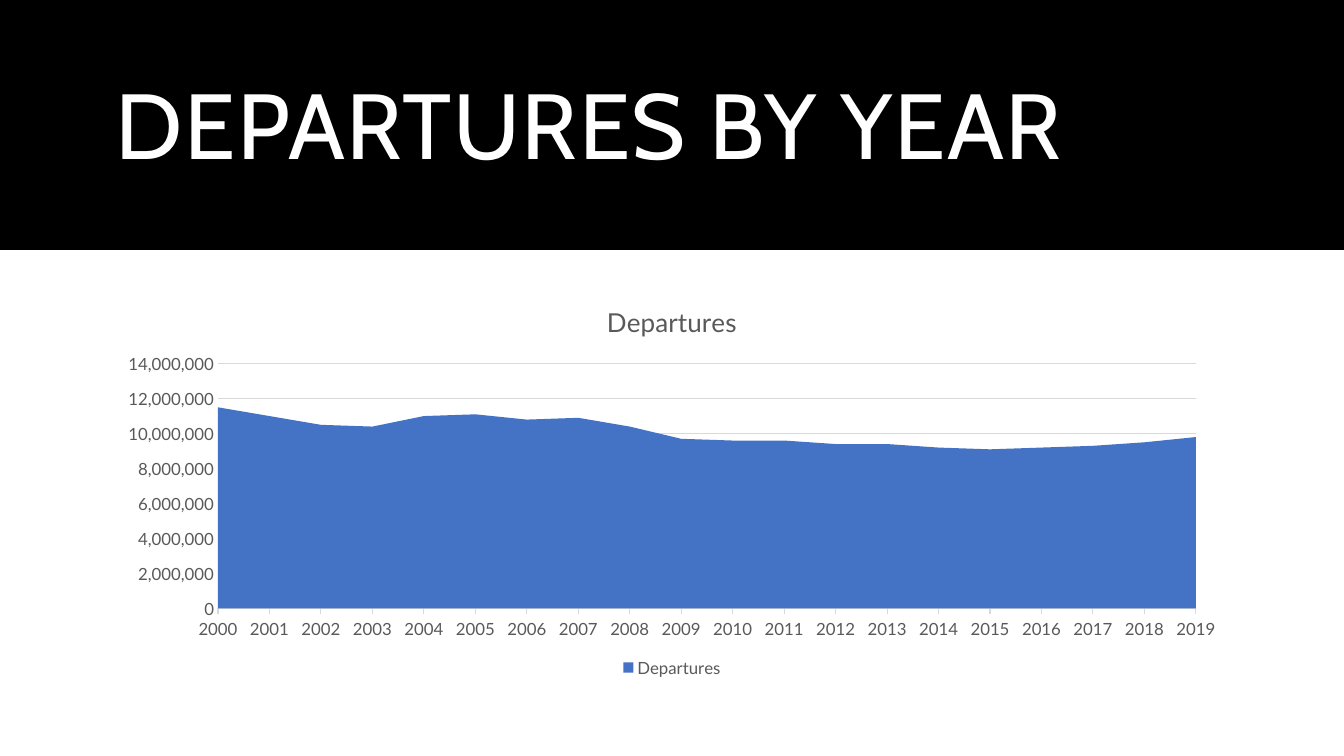
from lxml.etree import SubElement
from pptx import Presentation
from pptx.chart.data import CategoryChartData
from pptx.dml.color import RGBColor
from pptx.enum.chart import XL_CHART_TYPE as Chart, XL_LEGEND_POSITION as Legend, XL_TICK_MARK as Tick
from pptx.enum.shapes import MSO_SHAPE as Shape
from pptx.enum.text import MSO_ANCHOR as Anchor
from pptx.oxml.ns import qn
from pptx.util import Pt

BLACK = RGBColor(0x00, 0x00, 0x00)
WHITE = RGBColor(0xFF, 0xFF, 0xFF)
GRAY = RGBColor(0x59, 0x59, 0x59)
RULE = RGBColor(0xD9, 0xD9, 0xD9)
BLUE = RGBColor(0x44, 0x72, 0xC4)

YEARS = [str(year) for year in range(2000, 2020)]
DEPARTURES_M = [11.5, 11.0, 10.5, 10.4, 11.0, 11.1, 10.8, 10.9, 10.4, 9.7,
                9.6, 9.6, 9.4, 9.4, 9.2, 9.1, 9.2, 9.3, 9.5, 9.8]


class Deck:
    heading_font = "Cabin"
    body_font = "Lato"

    def __init__(self):
        self.prs = Presentation()
        self.prs.slide_width, self.prs.slide_height = Pt(960), Pt(540)
        self.s = self.prs.slides.add_slide(self.prs.slide_layouts[6])

    def style(self, font, size, color, name):
        font.size, font.name, font.bold = Pt(size), name, False
        font.color.rgb = color

    def rule(self, line):
        line.color.rgb = RULE
        line.width = Pt(0.75)

    def band(self, x, y, w, h, color):
        sp = self.s.shapes.add_shape(Shape.RECTANGLE, Pt(x), Pt(y), Pt(w), Pt(h))
        sp.shadow.inherit = False
        sp.fill.solid()
        sp.fill.fore_color.rgb = color
        sp.line.fill.background()

    def heading(self, x, y, w, h, text):
        tf = self.s.shapes.add_textbox(Pt(x), Pt(y), Pt(w), Pt(h)).text_frame
        tf.word_wrap = True
        tf.vertical_anchor = Anchor.MIDDLE
        tf.text = text
        p = tf.paragraphs[0]
        p.line_spacing = 0.9
        r = p.runs[0]
        self.style(r.font, 66, WHITE, self.heading_font)
        r.font._element.set("spc", "120")

    def area_chart(self, x, y, w, h, name, categories, values):
        data = CategoryChartData(number_format="#,##0")
        data.categories = categories
        data.add_series(name, values)
        chart = self.s.shapes.add_chart(Chart.AREA, Pt(x), Pt(y), Pt(w), Pt(h), data).chart
        self.style(chart.font, 10, BLACK, self.body_font)

        chart.has_title = True
        tf = chart.chart_title.text_frame
        tf.text = name
        self.style(tf.paragraphs[0].runs[0].font, 18.6, GRAY, self.body_font)
        chart.chart_title.include_in_layout = False

        chart.has_legend = True
        chart.legend.position = Legend.BOTTOM
        chart.legend.include_in_layout = False
        self.style(chart.legend.font, 12, GRAY, self.body_font)

        plot = chart.plots[0]
        plot.vary_by_categories = False
        fill = plot.series[0].format.fill
        fill.solid()
        fill.fore_color.rgb = BLUE

        cat, val = chart.category_axis, chart.value_axis
        for axis in (cat, val):
            self.style(axis.tick_labels.font, 12, GRAY, self.body_font)
            axis.minor_tick_mark = Tick.NONE
        cat.has_major_gridlines = False
        cat.major_tick_mark = Tick.OUTSIDE
        self.rule(cat.format.line)
        val.major_tick_mark = Tick.NONE
        val.has_major_gridlines = True
        self.rule(val.major_gridlines.format.line)
        val.format.line.fill.background()
        val.minimum_scale, val.maximum_scale, val.major_unit = 0, 14_000_000, 2_000_000
        val.tick_labels.number_format = "#,##0"
        val.tick_labels.number_format_is_linked = False

        ax = val._element
        cross = ax.find(qn("c:crossBetween"))
        if cross is None:
            cross = SubElement(ax, qn("c:crossBetween"))
            ax.find(qn("c:crosses")).addnext(cross)
        cross.set("val", "midCat")


def main():
    deck = Deck()
    deck.band(0, 0, 960, 178.5, BLACK)
    deck.heading(75.6, 25.2, 808.8, 134, "DEPARTURES BY YEAR")
    deck.area_chart(75.6, 203.8, 808.8, 283, "Departures", YEARS,
                    [round(v * 1_000_000) for v in DEPARTURES_M])
    deck.prs.save("out.pptx")


if __name__ == "__main__":
    main()
